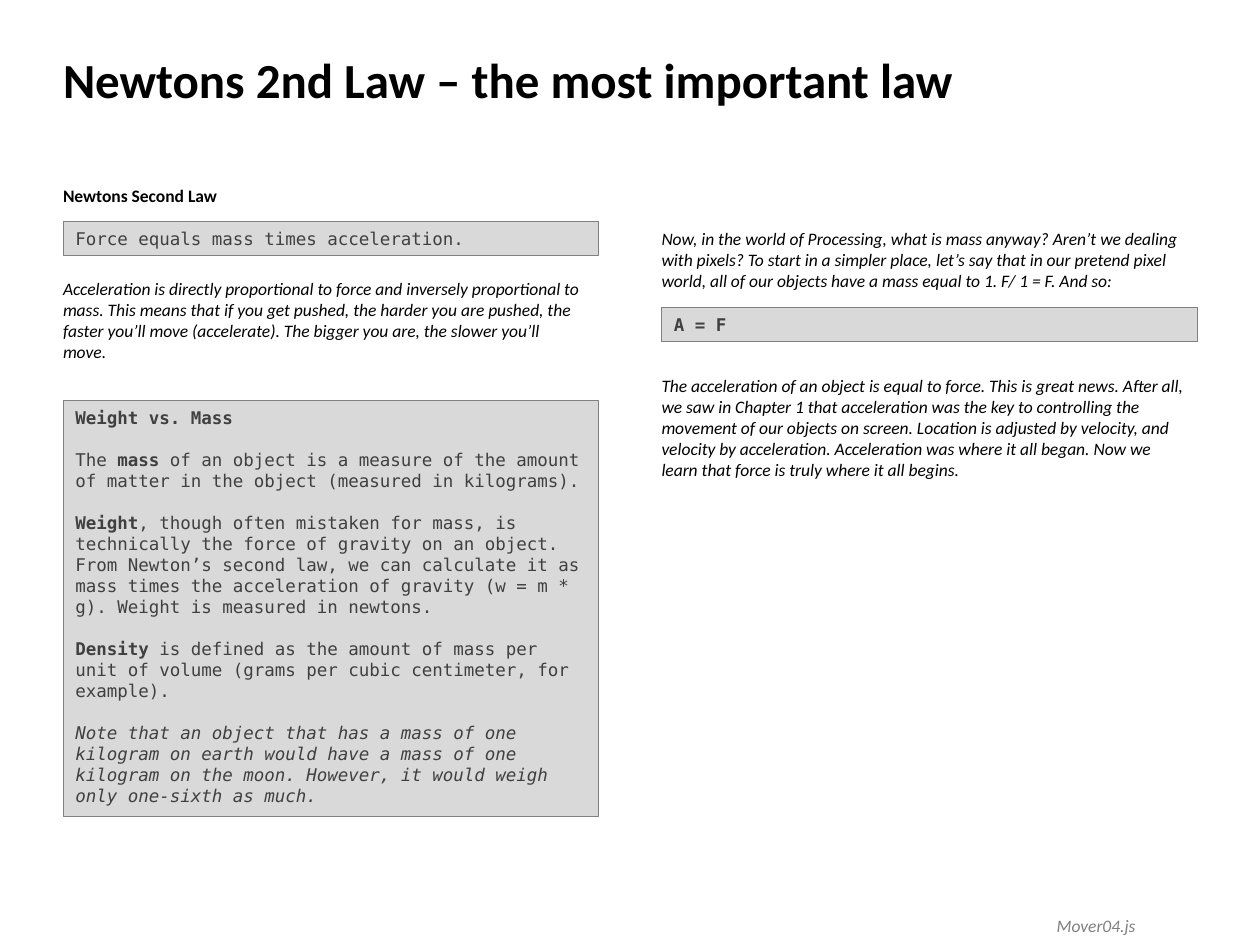
from dataclasses import dataclass

from pptx import Presentation
from pptx import util as u
from pptx.dml.color import RGBColor
from pptx.enum import shapes, text


@dataclass(frozen=True)
class Theme:
    sans: str = "Calibri"
    mono: str = "DejaVu Sans Mono"
    ink: RGBColor = RGBColor(0x00, 0x00, 0x00)
    code_ink: RGBColor = RGBColor(0x40, 0x40, 0x40)
    muted: RGBColor = RGBColor(0x80, 0x80, 0x80)
    panel: RGBColor = RGBColor(0xD9, 0xD9, 0xD9)
    title_size: int = 28
    body_size: int = 10
    paragraph_gap: int = 12


@dataclass(frozen=True)
class Block:
    """A passage of text; ** switches bold on and off."""
    left: float
    top: float
    height: float
    paragraphs: tuple[str, ...]
    italic: bool = False


THEME = Theme()
LEFT, RIGHT, COLUMN_WIDTH = 0.5, 5.25, 4.25

PASSAGES = (
    Block(LEFT, 1.42, 0.27, ("**Newtons Second Law**",)),
    Block(LEFT, 2.16, 0.77, (
        "Acceleration is directly proportional to force and inversely proportional to mass. "
        "This means that if you get pushed, the harder you are pushed, the faster you’ll move "
        "(accelerate). The bigger you are, the slower you’ll move.",), italic=True),
    Block(RIGHT, 1.76, 0.61, (
        "Now, in the world of Processing, what is mass anyway? Aren’t we dealing with pixels? "
        "To start in a simpler place, let’s say that in our pretend pixel world, all of our "
        "objects have a mass equal to 1. F/ 1 = F. And so:",), italic=True),
    Block(RIGHT, 2.93, 0.94, (
        "The acceleration of an object is equal to force. This is great news. After all, we saw "
        "in Chapter 1 that acceleration was the key to controlling the movement of our objects "
        "on screen. Location is adjusted by velocity, and velocity by acceleration. Acceleration "
        "was where it all began. Now we learn that force is truly where it all begins.",),
        italic=True),
)

PANELS = (
    Block(LEFT, 1.76, 0.27, ("Force equals mass times acceleration.",)),
    Block(LEFT, 3.18, 3.3, (
        "**Weight vs. Mass**",
        "The **mass** of an object is a measure of the amount of matter in the object "
        "(measured in kilograms).",
        "**Weight**, though often mistaken for mass, is technically the force of gravity on an "
        "object. From Newton’s second law, we can calculate it as mass times the acceleration "
        "of gravity (w = m * g). Weight is measured in newtons.",
        "**Density** is defined as the amount of mass per unit of volume (grams per cubic "
        "centimeter, for example).")),
    Block(RIGHT, 2.44, 0.27, ("**A = F**",)),
)
MOON_NOTE = ("Note that an object that has a mass of one kilogram on earth would have a mass of "
             "one kilogram on the moon. However, it would weigh only one-sixth as much.")


def add_text(paragraph, content: str, *, font: str = THEME.sans, size: int = THEME.body_size,
             color: RGBColor = THEME.ink, italic: bool = False,
             align=text.PP_ALIGN.LEFT, gap: int = 0) -> None:
    paragraph.alignment = align
    paragraph.space_before = u.Pt(gap)
    for index, part in enumerate(content.split("**")):
        if part:
            run = paragraph.add_run()
            run.text = part
            run.font.name, run.font.size = font, u.Pt(size)
            run.font.color.rgb = color
            run.font.bold, run.font.italic = index % 2 == 1, italic


def prepare_frame(shape, *, left_inset: float = 0,
                  auto_size=text.MSO_AUTO_SIZE.SHAPE_TO_FIT_TEXT,
                  anchor=text.MSO_ANCHOR.TOP):
    frame = shape.text_frame
    frame.word_wrap = True
    frame.auto_size = auto_size
    frame.vertical_anchor = anchor
    frame.margin_left, frame.margin_right = u.Inches(left_inset), u.Inches(0.1)
    frame.margin_top = frame.margin_bottom = u.Inches(0.05)
    return frame


def add_passage(slide, block: Block, *, width: float = COLUMN_WIDTH, **style) -> None:
    shape = slide.shapes.add_textbox(u.Inches(block.left), u.Inches(block.top),
                                     u.Inches(width), u.Inches(block.height))
    frame = prepare_frame(shape)
    add_text(frame.paragraphs[0], block.paragraphs[0], italic=block.italic, **style)


def add_panel(slide, block: Block):
    shape = slide.shapes.add_shape(
        shapes.MSO_SHAPE.RECTANGLE, u.Inches(block.left), u.Inches(block.top),
        u.Inches(COLUMN_WIDTH), u.Inches(block.height))
    shape.shadow.inherit = False
    shape.fill.solid()
    shape.fill.fore_color.rgb = THEME.panel
    shape.line.color.rgb = THEME.muted
    shape.line.width = u.Pt(0.5)
    frame = prepare_frame(shape, left_inset=0.1)
    for index, content in enumerate(block.paragraphs):
        paragraph = frame.add_paragraph() if index else frame.paragraphs[0]
        add_text(paragraph, content, font=THEME.mono, color=THEME.code_ink,
                 gap=THEME.paragraph_gap if index else 0)
    return frame


def main() -> None:
    presentation = Presentation()
    presentation.slide_width, presentation.slide_height = u.Inches(10), u.Inches(7.5)
    slide = presentation.slides.add_slide(presentation.slide_layouts.get_by_name("Title Only"))

    # Title
    title = slide.shapes.title
    title.left, title.top = u.Inches(LEFT), u.Inches(0.3)
    title.width, title.height = u.Inches(9), u.Inches(0.65)
    frame = prepare_frame(title, auto_size=text.MSO_AUTO_SIZE.NONE,
                          anchor=text.MSO_ANCHOR.MIDDLE)
    add_text(frame.paragraphs[0], "**Newtons 2nd Law – the most important law**",
             size=THEME.title_size)

    # Explanations in both columns
    for passage in PASSAGES:
        add_passage(slide, passage)

    # Grey panels; the definitions end with a note in italics
    formula, definitions, result = (add_panel(slide, panel) for panel in PANELS)
    add_text(definitions.add_paragraph(), MOON_NOTE, font=THEME.mono, color=THEME.code_ink,
             italic=True, gap=THEME.paragraph_gap)

    # Name of the example file
    add_passage(slide, Block(7.82, 7.21, 0.27, ("Mover04.js",), italic=True), width=1.29,
                color=THEME.muted, align=text.PP_ALIGN.RIGHT)

    presentation.save("out.pptx")


if __name__ == "__main__":
    main()
